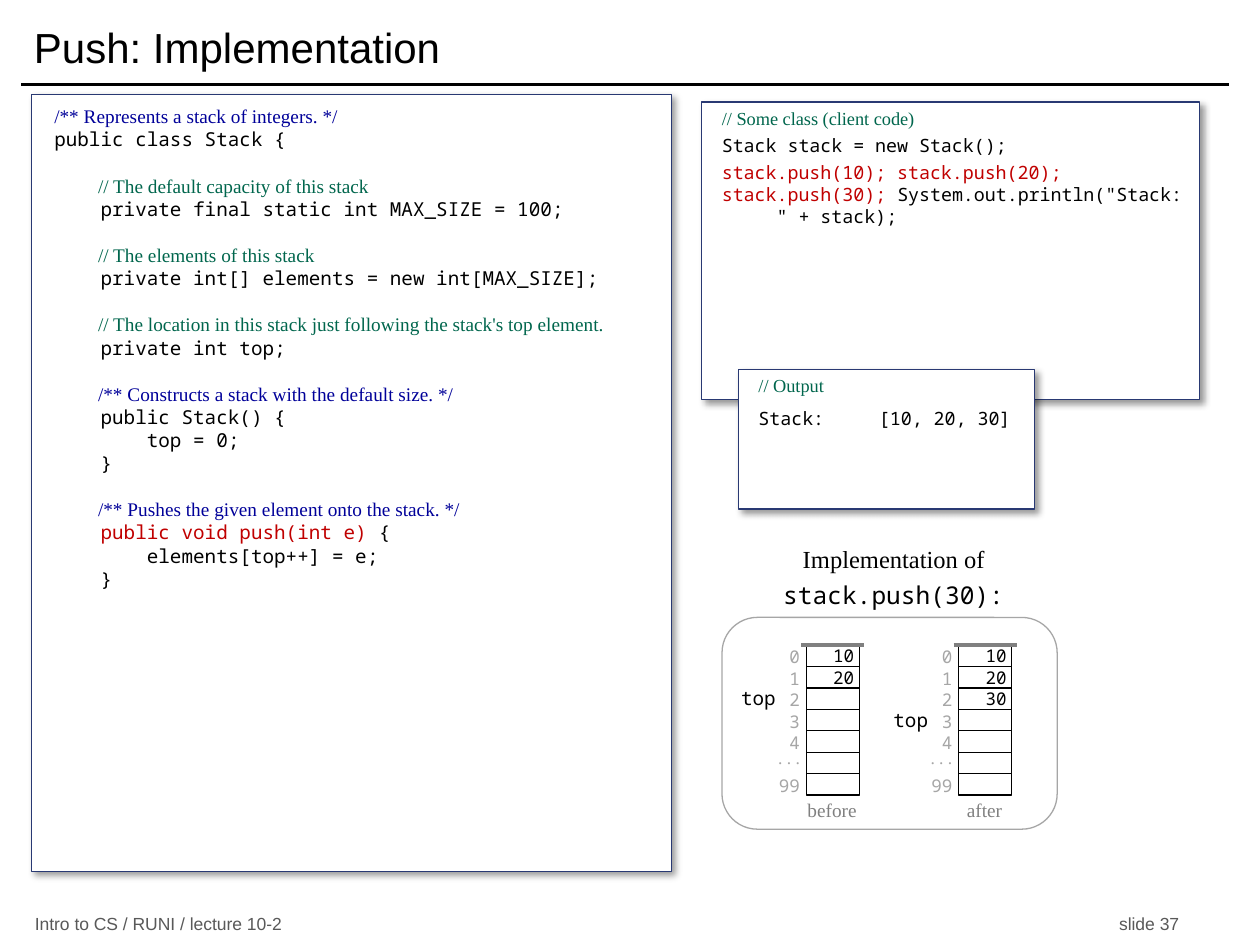
import pptx
import pptx.dml.color
import pptx.enum.shapes
import pptx.enum.text
import pptx.oxml
import pptx.oxml.ns
import pptx.util
from lxml import etree

Pt = pptx.util.Pt
SHAPES = pptx.enum.shapes.MSO_SHAPE
ALIGN = pptx.enum.text.PP_ALIGN
ANCHOR = pptx.enum.text.MSO_ANCHOR

SERIF, MONO, SANS = "Times New Roman", "Noto Sans Mono", "Arial"
STYLES = {  # font, colour
    "doc": (SERIF, "000099"),
    "comment": (SERIF, "00664D"),
    "code": (MONO, "000000"),
    "key": (MONO, "C00000"),
    "index": (MONO, "A6A6A6"),
    "dots": (SERIF, "A6A6A6"),
    "state": (SERIF, "808080"),
    "caption": (SERIF, "000000"),
    "title": (SANS, "000000"),
    "footer": (SANS, "595959"),
}

# Each paragraph: space before, left indent, runs of (text, style)
BLANK, MEMBER = 13.2, 25
STACK_CLASS = [
    (0, 0, [("/** Represents a stack of integers. */", "doc")]),
    (0, 0, [("public class Stack {", "code")]),
    (BLANK, MEMBER, [("// The default capacity of this stack", "comment")]),
    (0, 0, [("    private final static int MAX_SIZE = 100;", "code")]),
    (BLANK, MEMBER, [("// The elements of this stack", "comment")]),
    (0, 0, [("    private int[] elements = new int[MAX_SIZE];", "code")]),
    (BLANK, MEMBER, [("// The location in this stack just following the stack's top element.", "comment")]),
    (0, 0, [("    private int top;", "code")]),
    (BLANK, MEMBER, [("/** Constructs a stack with the default size. */", "doc")]),
    (0, 0, [("    public Stack() {", "code")]),
    (0, 0, [("        top = 0;", "code")]),
    (0, 0, [("    }", "code")]),
    (BLANK, MEMBER, [("/** Pushes the given element onto the stack. */", "doc")]),
    (0, 0, [("    public void push(int e) ", "key"), ("{", "code")]),
    (0, 0, [("        elements[top++] = e;", "code")]),
    (0, 0, [("    }", "code")]),
]
CLIENT = [
    (0, 0, [("// Some class (client code)", "comment")]),
    (3, 0, [("Stack stack = new Stack();", "code")]),
    (3, 0, [("stack.push(10); stack.push(20); stack.push(30); ", "key"),
            ('System.out.println("Stack:\v     " + stack);', "code")]),
]
OUTPUT = [
    (0, 0, [("// Output", "comment")]),
    (6, 0, [("Stack:     [10, 20, 30]", "code")]),
]
CAPTION = [
    (0, 0, [("Implementation of", "caption")]),
    (4, 0, [("stack.push(30):", "code")]),
]
# Panel: place, insets, paragraphs, size, line pitch
PANELS = [
    ((18, 54, 365.8, 444.2), (13, 5.8), STACK_CLASS, 11, 13.2),
    ((401, 58.3, 284.4, 169.9), (11.5, 2.9), CLIENT, 10.5, 12.5),
    ((421.9, 211, 169.2, 79.9), (11.5, 2.9), OUTPUT, 10.5, 12.7),
]
INDICES = ["0", "1", "2", "3", "4", ". . .", "99"]
STACKS = [  # state, left of cells, values; top points to the first free cell
    ("before", 460.8, ["10", "20"]),
    ("after", 547.9, ["10", "20", "30"]),
]
CELL_W, CELL_H, CELLS_TOP = 30.2, 12.24, 368.7


def rgb(value):
    return pptx.dml.color.RGBColor.from_string(value)


def write(shape, paragraphs, size, pitch=None, align=ALIGN.LEFT,
          anchor=ANCHOR.MIDDLE, insets=(7.2, 0, 2.9, 0), wrap=True):
    frame = shape.text_frame
    frame.word_wrap = wrap
    frame.auto_size = pptx.enum.text.MSO_AUTO_SIZE.NONE
    frame.vertical_anchor = anchor
    (frame.margin_left, frame.margin_top,
     frame.margin_right, frame.margin_bottom) = [Pt(inset) for inset in insets]
    for number, (before, indent, runs) in enumerate(paragraphs):
        paragraph = frame.add_paragraph() if number else frame.paragraphs[0]
        paragraph.alignment = align
        paragraph.space_before = Pt(before)
        if pitch:
            paragraph.line_spacing = Pt(pitch)
        if indent:
            paragraph._p.get_or_add_pPr().set("marL", str(Pt(indent)))
        for text, style in runs:
            for part_number, part in enumerate(text.split("\v")):
                if part_number:
                    paragraph.add_line_break()
                run = paragraph.add_run()
                run.text = part
                run.font.size = Pt(size)
                run.font.name, colour = STYLES[style]
                run.font.color.rgb = rgb(colour)


def add_label(parent, place, text, style, size, **options):
    label = parent.add_textbox(*map(Pt, place))
    write(label, [(0, 0, [(text, style)])], size, **options)


def add_box(parent, place, line, kind=SHAPES.RECTANGLE):
    box = parent.add_shape(kind, *map(Pt, place))
    box.shadow.inherit = False
    box.fill.solid()
    box.fill.fore_color.rgb = rgb("FFFFFF")
    box.line.color.rgb = rgb(line)
    box.line.width = Pt(0.75)
    return box


def add_rule(parent, left, right, y, colour, width):
    rule = parent.add_connector(pptx.enum.shapes.MSO_CONNECTOR.STRAIGHT,
                                Pt(left), Pt(y), Pt(right), Pt(y))
    rule.line.color.rgb = rgb(colour)
    rule.line.width = Pt(width)
    etree.SubElement(rule._element.spPr, pptx.oxml.ns.qn("a:effectLst"))


def cast_shadow(shape):
    effects = shape._element.spPr.find(pptx.oxml.ns.qn("a:effectLst"))
    effects.append(pptx.oxml.parse_xml(
        f'<a:outerShdw {pptx.oxml.ns.nsdecls("a")} blurRad="{Pt(4)}" dist="{Pt(3)}" '
        'dir="2700000" algn="tl" rotWithShape="0">'
        '<a:srgbClr val="000000"><a:alpha val="40000"/></a:srgbClr></a:outerShdw>'))


def add_stack(shapes, state, left, values):
    stack = shapes.add_group_shape().shapes
    for row, index in enumerate(INDICES):
        y = CELLS_TOP + row * CELL_H
        cell = add_box(stack, (left, y, CELL_W, CELL_H), "000000")
        if row < len(values):
            write(cell, [(0, 0, [(values[row], "code")])], 10, align=ALIGN.RIGHT)
        dots = index == ". . ."
        add_label(stack, (left - 31, y - 2.9 if dots else y + 0.6, CELL_W, CELL_H),
                  index, "dots" if dots else "index", 10, align=ALIGN.RIGHT)
    add_label(stack, (left - 44.8, CELLS_TOP + len(values) * CELL_H - 1, CELL_W, 13.7),
              "top", "code", 11, align=ALIGN.RIGHT)
    add_rule(stack, left - 3, left + 33, CELLS_TOP, "808080", 2.5)
    add_label(stack, (left - 17.3, 456, 59.8, 13.7), state, "state", 11,
              align=ALIGN.CENTER)


def main():
    deck = pptx.Presentation()
    deck.slide_width, deck.slide_height = Pt(720), Pt(540)
    slide = deck.slides.add_slide(deck.slide_layouts[5])
    shapes = slide.shapes

    title = shapes.title
    title.left, title.top, title.width, title.height = map(Pt, (12.2, 5.8, 689.8, 41.8))
    write(title, [(0, 0, [("Push: Implementation", "title")])], 24,
          insets=(7.2, 3.6, 7.2, 3.6))
    add_rule(shapes, 12.2, 702, 48.2, "000000", 2)

    add_box(shapes, (412.6, 352.8, 191.5, 121), "A6A6A6", SHAPES.ROUNDED_RECTANGLE)
    for place, (inset_x, inset_y), paragraphs, size, pitch in PANELS:
        panel = add_box(shapes, place, "293973")
        cast_shadow(panel)
        write(panel, paragraphs, size, pitch, anchor=ANCHOR.TOP,
              insets=(inset_x, inset_y, 0, 0))

    for state, left, values in STACKS:
        add_stack(shapes, state, left, values)
    caption = shapes.add_textbox(*map(Pt, (390.2, 310.3, 236.9, 38.2)))
    write(caption, CAPTION, 14, 16.8, align=ALIGN.CENTER)

    for left, text, align in [(12.8, "Intro to CS / RUNI / lecture 10-2", ALIGN.LEFT),
                              (480.9, "slide 37", ALIGN.RIGHT)]:
        add_label(shapes, (left, 520.6, 200, 13.7), text, "footer", 10, align=align,
                  insets=(7.2, 0, 7.2, 0))
    deck.save("out.pptx")


if __name__ == "__main__":
    main()
